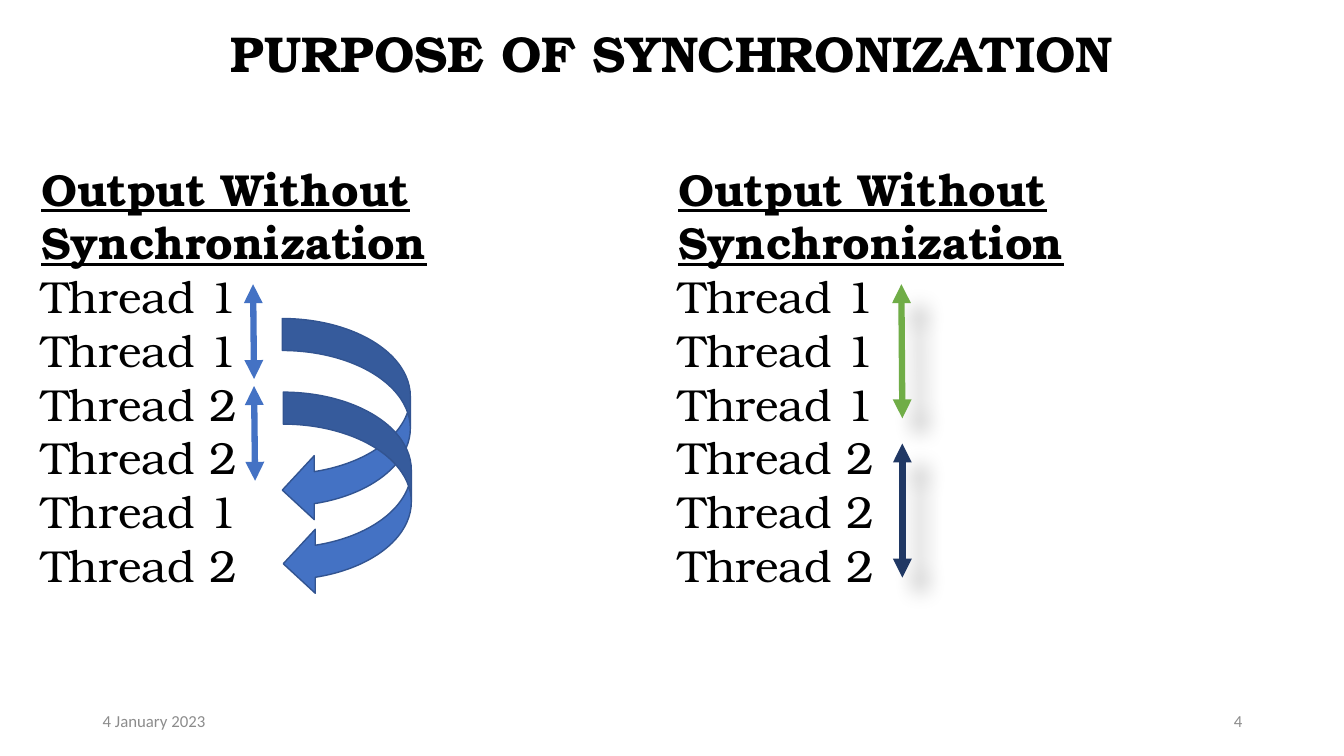
import pptx
import pptx.util
import pptx.dml.color
import pptx.enum.shapes
import pptx.enum.text
import lxml.etree

INCH = pptx.util.Inches
ALIGN = pptx.enum.text.PP_ALIGN
ANCHOR = pptx.enum.text.MSO_ANCHOR
WIDE, HIGH = 13.33, 7.5
SERIF, SANS = "TeX Gyre Bonum", "Calibri"
BLACK, GREY, BLUE, EDGE = "000000", "8C8C8C", "4472C4", "325491"
GREEN, NAVY = "70AD47", "203864"


def paint(color, code):
    color.rgb = pptx.dml.color.RGBColor.from_string(code)


def add_text(slide, box, lines, size, face, code, align=ALIGN.LEFT,
             anchor=ANCHOR.MIDDLE):
    """Place a wrapped text box with one paragraph per line."""
    frame = slide.shapes.add_textbox(*map(INCH, box)).text_frame
    frame.word_wrap = True
    frame.vertical_anchor = anchor
    frame.text = "\n".join(lines)
    for para in frame.paragraphs:
        para.alignment = align
        font = para.runs[0].font
        font.size, font.name = pptx.util.Pt(size), face
        paint(font.color, code)
    return frame


def add_span(slide, x, y, drift, length, code, shadow):
    """Draw a double-headed arrow down the side of some lines."""
    line = slide.shapes.add_connector(
        pptx.enum.shapes.MSO_CONNECTOR.STRAIGHT,
        INCH(x), INCH(y), INCH(x + drift), INCH(y + length))
    line.line.width = pptx.util.Pt(4.5)
    paint(line.line.color, code)
    stroke = line.line._get_or_add_ln()
    for end in ("a:headEnd", "a:tailEnd"):
        tip = pptx.oxml.xmlchemy.OxmlElement(end)
        tip.set("type", "triangle")
        stroke.append(tip)
    fx = pptx.oxml.xmlchemy.OxmlElement("a:effectLst")
    stroke.addnext(fx)
    if shadow:
        space = pptx.oxml.ns.qn
        cast = lxml.etree.SubElement(
            fx, space("a:outerShdw"), blurRad=str(pptx.util.Pt(15)),
            dist=str(pptx.util.Pt(18)), dir=str(45 * 60000),
            algn="tl", rotWithShape="0")
        tone = lxml.etree.SubElement(cast, space("a:srgbClr"), val=BLACK)
        lxml.etree.SubElement(tone, space("a:alpha"), val="30000")


def add_panel(slide, box, order, spans, length, step, shadow):
    """Heading, thread lines and arrows beside each group of lines."""
    left, top = box[:2]
    lines = ["Output Without Synchronization"]
    lines += [f"Thread {n}" for n in order]
    frame = add_text(slide, box, lines, 32, SERIF, BLACK, anchor=ANCHOR.TOP)
    head = frame.paragraphs[0].runs[0].font
    head.bold = head.underline = True
    for i, (dx, drift, code) in enumerate(spans):
        add_span(slide, left + dx, top + 1.27 + i * step, drift, length,
                 code, shadow)


def add_bends(slide, box):
    """Two overlapping curved arrows, each linking a thread's lines."""
    left, top = box[:2]
    for i in range(2):
        bend = slide.shapes.add_shape(
            pptx.enum.shapes.MSO_SHAPE.CURVED_LEFT_ARROW,
            INCH(left + 2.49 + i * 0.01), INCH(top + 1.61 + i * 0.73),
            INCH(1.27), INCH(2.02))
        bend.shadow.inherit = False
        bend.fill.solid()
        paint(bend.fill.fore_color, BLUE)
        paint(bend.line.color, EDGE)
        bend.line.width = pptx.util.Pt(1)


def add_title(slide, box):
    frame = add_text(slide, box, ["PURPOSE OF SYNCHRONIZATION"], 36, SERIF,
                     BLACK, ALIGN.CENTER)
    frame.paragraphs[0].line_spacing = 0.9
    frame.paragraphs[0].runs[0].font.bold = True


def add_footer(slide, box):
    """Date at the left end, page number at the right end."""
    left, top, width, height = box
    part = 3
    add_text(slide, (left, top, part, height), ["4 January 2023"], 12, SANS,
             GREY)
    add_text(slide, (left + width - part, top, part, height), ["4"], 12,
             SANS, GREY, ALIGN.RIGHT)


def main():
    deck = pptx.Presentation()
    deck.slide_width, deck.slide_height = INCH(WIDE), INCH(HIGH)
    slide = deck.slides.add_slide(deck.slide_layouts[6])

    # Title
    add_title(slide, (0, 0, WIDE, 1.11))

    # Interleaved threads at left, grouped threads at right
    mixed = (0.31, 1.55, 7.22, 4.41)
    sorted_box = (6.63, 1.55, 6.7, 4.41)
    add_panel(slide, mixed, (1, 1, 2, 2, 1, 2),
              [(2.2, 0.01, BLUE), (2.21, 0.01, BLUE)], 0.94, 1.01, False)
    add_panel(slide, sorted_box, (1, 1, 1, 2, 2, 2),
              [(2.31, 0.01, GREEN), (2.32, 0, NAVY)], 1.33, 1.58, True)
    add_bends(slide, mixed)

    # Footer
    add_footer(slide, (0.92, 6.95, 11.5, 0.4))
    deck.save("out.pptx")


if __name__ == "__main__":
    main()
